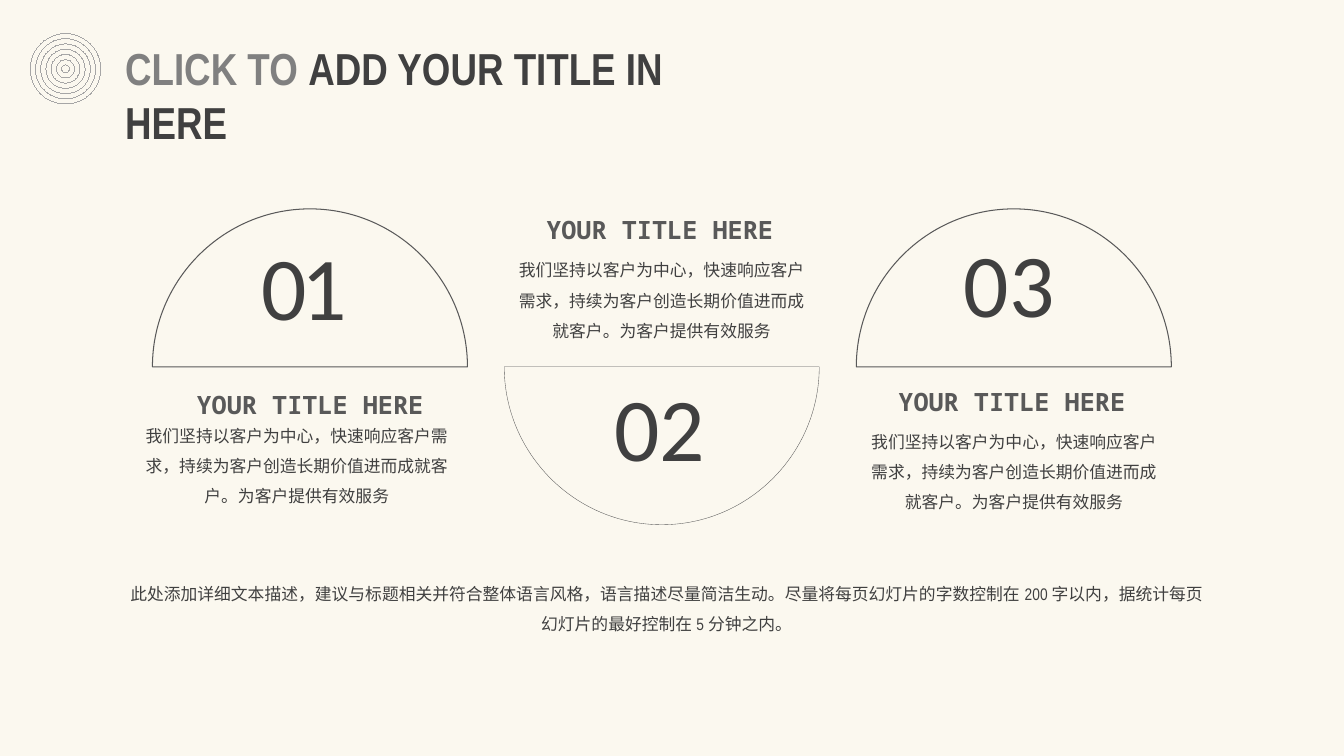
from lxml import etree
from pptx import Presentation
from pptx.dml.color import RGBColor
from pptx.enum import shapes, text
from pptx.oxml.ns import qn
from pptx.util import Pt

SLIDE_SIZE = (960, 540)

TITLE = [("CLICK TO ", "muted"), ("ADD YOUR TITLE IN HERE", "ink")]
TITLE_BOX = (82.3, 25.5, 401, 46)

HEADING = "YOUR TITLE HERE"
DETAIL = "我们坚持以客户为中心，快速响应客户需求，持续为客户创造长期价值进而成就客户。为客户提供有效服务"

# Boxes are (left, top, width, height) in points.
STEPS = [
    dict(number="01", dome_left=108.9, up=True, line=0.75, spacing=-4,
         number_at=(180, 161.5), heading=(108.7, 273.6, 225.4, 25.9),
         detail=(90, 293.2, 244.1, 72.7), detail_inset=11),
    dict(number="02", dome_left=360.2, up=False, line=0.25, spacing=0,
         number_at=(431.8, 262.1), heading=(358.9, 149, 224.6, 25.9),
         detail=(360.3, 175, 224.6, 72.7), detail_inset=7.2),
    dict(number="03", dome_left=611.7, up=True, line=0.75, spacing=0,
         number_at=(681.3, 159.3), heading=(608.2, 271.4, 229, 25.9),
         detail=(611.3, 297.4, 226.1, 72.7), detail_inset=7.2),
]

SUMMARY = ("此处添加详细文本描述，建议与标题相关并符合整体语言风格，语言描述尽量简洁生动。"
           "尽量将每页幻灯片的字数控制在200字以内，据统计每页幻灯片的最好控制在5分钟之内。")
SUMMARY_BOX = (78, 404.9, 796.3, 64.1)

BASELINE = 262
DOME_WIDTH, DOME_HEIGHT = 225, 112.8
ARC_PULL = 0.55
NUMBER_SIZE = (103, 85)
RING_CENTER = (46.8, 49.1)
RING_DIAMETERS = [50.4 - 7.44 * i for i in range(7)]
HAIRLINE = 0.01

THEME = {
    "paper": RGBColor(0xFB, 0xF8, 0xEF),
    "ink": RGBColor(0x40, 0x40, 0x40),
    "soft": RGBColor(0x59, 0x59, 0x59),
    "muted": RGBColor(0x80, 0x80, 0x80),
    "ring": RGBColor(0xA6, 0xA6, 0xA6),
    "title": ("Arial Narrow", 32, True),
    "number": ("Calibri", 64, False),
    "heading": ("Noto Sans Mono", 18, True),
    "detail": ("Calibri", 12, False),
    "summary": ("Arial Narrow", 12, False),
}


def add_text(slide, box, runs, style, insets=(7.2, 3.6), grow=True,
             centred=False, line_spacing=1.0, before=0, after=0):
    """Add one paragraph of (wording, colour name) runs; return the paragraph."""
    frame = slide.shapes.add_textbox(*map(Pt, box)).text_frame
    frame.word_wrap = True
    frame.auto_size = (text.MSO_AUTO_SIZE.SHAPE_TO_FIT_TEXT if grow
                       else text.MSO_AUTO_SIZE.NONE)
    frame.margin_left = frame.margin_right = Pt(insets[0])
    frame.margin_top = frame.margin_bottom = Pt(insets[1])
    paragraph = frame.paragraphs[0]
    paragraph.alignment = text.PP_ALIGN.CENTER if centred else text.PP_ALIGN.LEFT
    paragraph.line_spacing = line_spacing
    paragraph.space_before, paragraph.space_after = Pt(before), Pt(after)
    family, size, bold = THEME[style]
    font = paragraph.font
    font.name, font.size, font.bold = family, Pt(size), bold
    for wording, colour in runs:
        run = paragraph.add_run()
        run.text = wording
        run.font.color.rgb = THEME[colour]
    return paragraph


def add_paper_shape(slide, preset, box):
    shape = slide.shapes.add_shape(preset, *map(Pt, box))
    shape.shadow.inherit = False
    shape.fill.solid()
    shape.fill.fore_color.rgb = THEME["paper"]
    shape.line.fill.background()
    return shape


def add_rings(slide):
    for diameter in RING_DIAMETERS:
        left, top = (c - diameter / 2 for c in RING_CENTER)
        ring = add_paper_shape(slide, shapes.MSO_SHAPE.OVAL,
                               (left, top, diameter, diameter))
        ring.line.color.rgb = THEME["ring"]
        ring.line.width = Pt(HAIRLINE)


def bend(dome, up):
    """Turn the two straight sides of a dome into quarter arcs."""
    width, height = Pt(DOME_WIDTH), Pt(DOME_HEIGHT)
    base, apex = (height, 0) if up else (0, height)
    shoulder = base + (apex - base) * ARC_PULL
    near, far = width / 2 * (1 - ARC_PULL), width / 2 * (1 + ARC_PULL)
    controls = [((0, shoulder), (near, apex)), ((far, apex), (width, shoulder))]
    sides = list(dome._element.iter(qn("a:lnTo")))
    for side, handles in zip(sides, controls):
        side.tag = qn("a:cubicBezTo")
        for i, (x, y) in enumerate(handles):
            side.insert(i, etree.Element(qn("a:pt"), x=str(round(x)), y=str(round(y))))


def add_dome(slide, left, up, line_width):
    """Draw a half circle standing on, or hanging from, the baseline."""
    apex = BASELINE + (-DOME_HEIGHT if up else DOME_HEIGHT)
    builder = slide.shapes.build_freeform(Pt(left), Pt(BASELINE))
    builder.add_line_segments([(Pt(left + DOME_WIDTH / 2), Pt(apex)),
                               (Pt(left + DOME_WIDTH), Pt(BASELINE))], close=True)
    dome = builder.convert_to_shape()
    bend(dome, up)
    dome.shadow.inherit = False
    dome.fill.background()
    dome.line.color.rgb = THEME["soft"]
    dome.line.width = Pt(line_width)


def add_step(slide, step):
    add_dome(slide, step["dome_left"], step["up"], step["line"])
    number = add_text(slide, step["number_at"] + NUMBER_SIZE,
                      [(step["number"], "ink")], "number")
    if step["spacing"]:
        number.runs[0].font._element.set("spc", str(step["spacing"] * 100))
    add_text(slide, step["detail"], [(DETAIL, "ink")], "detail",
             insets=(step["detail_inset"], 3.6), centred=True,
             line_spacing=1.5, after=6)
    add_text(slide, step["heading"], [(HEADING, "soft")], "heading",
             insets=(7.2, 0), centred=True, line_spacing=1.2, before=8.5)


def main():
    deck = Presentation()
    deck.slide_width, deck.slide_height = map(Pt, SLIDE_SIZE)
    slide = deck.slides.add_slide(deck.slide_layouts[6])
    add_paper_shape(slide, shapes.MSO_SHAPE.RECTANGLE, (0, 0) + SLIDE_SIZE)
    add_rings(slide)
    for step in STEPS:
        add_step(slide, step)
    add_text(slide, SUMMARY_BOX, [(SUMMARY, "ink")], "summary", insets=(9.6, 4.8),
             grow=False, centred=True, line_spacing=1.5, before=2.4)
    add_text(slide, TITLE_BOX, TITLE, "title")
    deck.save("out.pptx")


if __name__ == "__main__":
    main()
